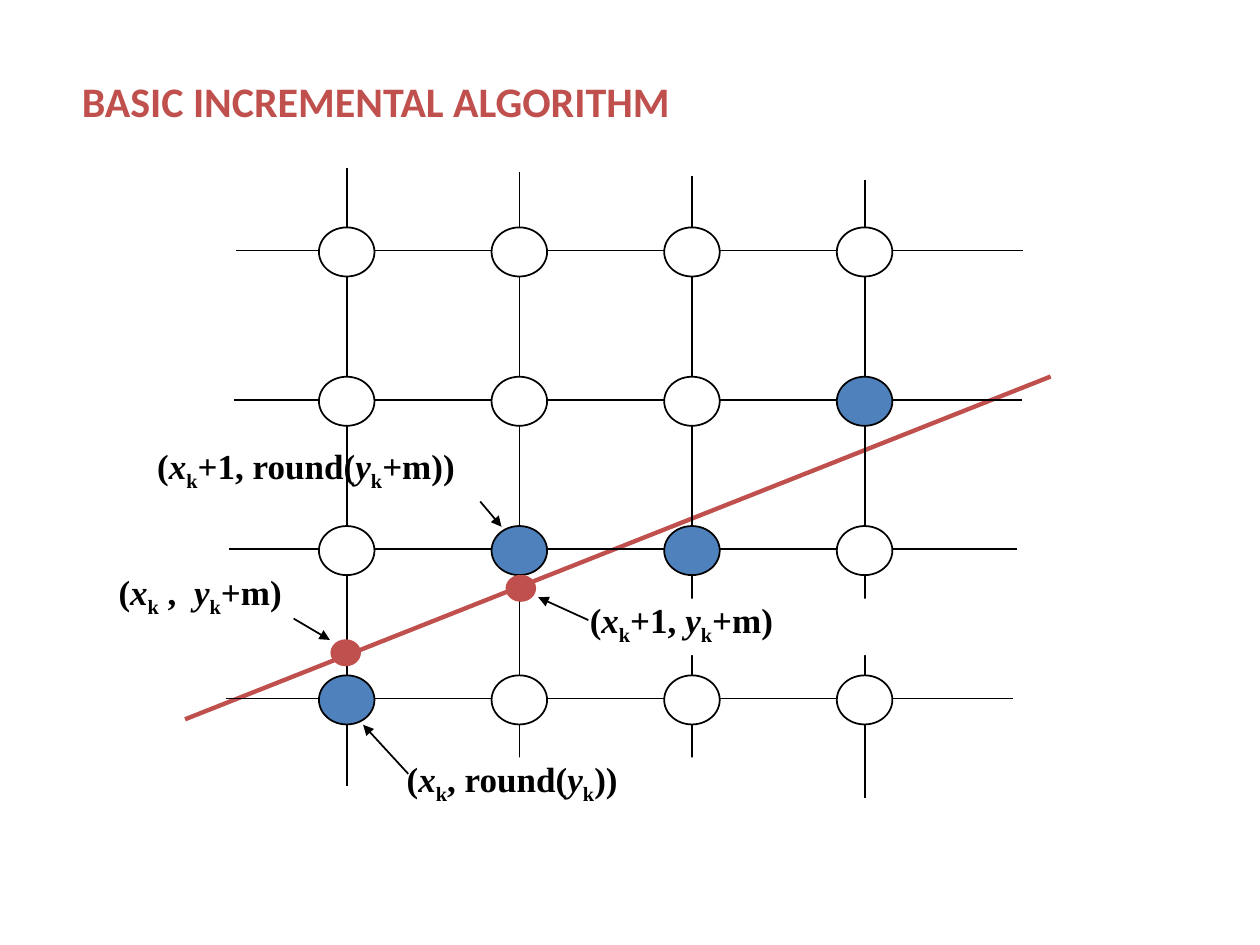
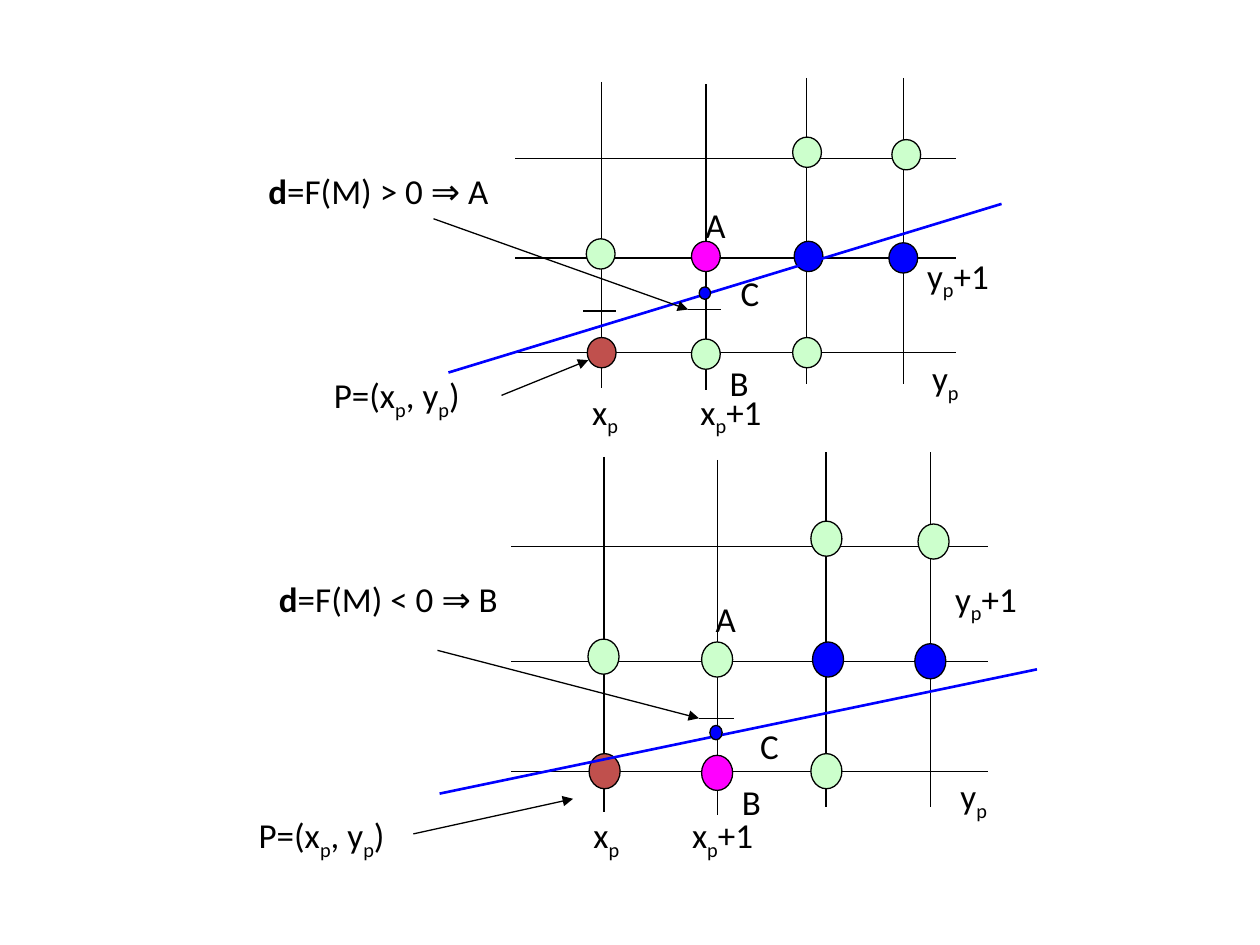
from dataclasses import dataclass

from pptx import Presentation
from pptx.dml.color import RGBColor as Rgb
from pptx.enum.shapes import MSO_CONNECTOR as Link, MSO_SHAPE as Kind
from pptx.oxml.ns import qn
from pptx.util import Cm, Pt
from lxml.etree import SubElement as Sub

HUES = {
    "black": "000000", "white": "FFFFFF", "red": "C0504D", "steel": "4F81BD",
    "mint": "CCFFCC", "pink": "FF00FF", "blue": "0000FF",
}
SANS, SERIF = "Calibri", "Times New Roman"


def hue(name):
    return Rgb.from_string(HUES[name])


@dataclass
class Box:
    """A region of a slide: lengths inside it are in cm, times its scale."""
    slide: object
    left: float
    top: float
    wide: float = 1
    high: float = 1

    def at(self, x, y):
        return Cm(self.left + x * self.wide), Cm(self.top + y * self.high)

    def line(self, start, end, color="black", width=1.0, arrow=False):
        link = self.slide.shapes.add_connector(
            Link.STRAIGHT, *self.at(*start), *self.at(*end))
        link.line.color.rgb = hue(color)
        link.line.width = Pt(width)
        if arrow:
            Sub(link.line._get_or_add_ln(), qn("a:tailEnd"), type="triangle")
        Sub(link._element.spPr, qn("a:effectLst"))

    def dot(self, mid, size, fill, edge="black", width=1.0):
        """Draw an ellipse around its centre."""
        w, h = size
        dot = self.slide.shapes.add_shape(
            Kind.OVAL, *self.at(mid[0] - w / 2, mid[1] - h / 2),
            Cm(w * self.wide), Cm(h * self.high))
        dot.shadow.inherit = False
        dot.fill.solid()
        dot.fill.fore_color.rgb = hue(fill)
        dot.line.color.rgb = hue(edge)
        dot.line.width = Pt(width)

    def text(self, spot, size, marks, font=SANS, points=20, color="black",
             bold=False, plate=False):
        """Write marks; a plate is white and has no margins.

        Runs are parted by |, and begin with _ if lowered, / if italic
        and * if bold.
        """
        note = self.slide.shapes.add_textbox(
            *self.at(*spot), Cm(size[0]), Cm(size[1]))
        frame = note.text_frame
        frame.word_wrap = True
        if plate:
            note.fill.solid()
            note.fill.fore_color.rgb = hue("white")
            frame.margin_left = frame.margin_right = 0
            frame.margin_top = frame.margin_bottom = 0
        for mark in marks.split("|"):
            run = frame.paragraphs[0].add_run()
            run.text = mark.lstrip("_/*")
            face = run.font
            face.name, face.size = font, Pt(points)
            face.color.rgb = hue(color)
            face.bold = bold or mark.startswith("*")
            face.italic = mark.startswith("/")
            if mark.startswith("_"):
                run._r.get_or_add_rPr().set("baseline", "-25000")


def title(slide, words):
    Box(slide, 1.4, 1.4).text((0, 0), (12.47, 1.27), words,
                              points=24, color="red", bold=True)


def raster(box):
    """The pixel grid with the ideal line and the pixels chosen for it."""
    cols = [2.49 + 3.48 * i for i in range(4)]
    rows = [1.65 + 3.01 * j for j in range(4)]
    lit = {(0, 3), (1, 2), (2, 2), (3, 1)}

    def plate(spot, size, marks):
        box.text(spot, size, marks, SERIF, bold=True, plate=True)

    box.line((-0.77, 11.1), (16.68, 4.19), "red", 2.5)
    plate((-1.33, 5.57), (9.5, 1.3), "(|/x|_k|+1, round(|/y|_k|+m))")
    for i, x in enumerate(cols):
        top = 0.08 * i - 0.02
        box.line((x, top), (x, top + 12.47))
    for y, left in zip(rows, (0.25, 0.22, 0.12, 0.05)):
        box.line((left, y), (left + 15.88, y))
    for j, y in enumerate(rows):
        for i, x in enumerate(cols):
            fill = "steel" if (i, j) in lit else "white"
            box.dot((x, y + 0.03), (1.12, 0.99), fill)
    for mid in ((2.47, 9.76), (6, 8.46)):
        box.dot(mid, (0.58, 0.51), "red", "red")

    plate((7.39, 8.67), (5.87, 1.14), "(|/x|_k|+1, |/y|_k|+m)")
    plate((3.7, 11.87), (6.78, 1.55), "(|/x|_k|, round(|/y|_k|))")
    plate((-2.11, 8.11), (3.58, 0.86), "(|/x|_k| ,  |/y|_k|+m)")
    for start, end in (
        ((1.42, 9.07), (2.15, 9.5)),
        ((7.36, 9.1), (6.35, 8.64)),
        ((3.73, 12.2), (2.82, 11.21)),
        ((5.18, 6.71), (5.61, 7.22)),
    ):
        box.line(start, end, arrow=True)


COLS = (1.73, 3.84, 5.87, 7.82)
ROWS = (1.63, 3.63, 5.54)
# column, row, shift right, shift down, fill
DOTS = (
    (0, 2, 0.01, 0, "red"), (0, 1, -0.01, -0.08, "mint"),
    (1, 2, 0, 0.03, "mint"), (1, 1, 0, -0.03, "mint"),
    (2, 0, 0.01, -0.13, "mint"), (2, 1, 0.04, -0.03, "blue"),
    (3, 0, 0.06, -0.08, "mint"), (3, 1, 0, 0, "blue"),
    (2, 2, 0.01, 0, "mint"),
)
# label: its width and runs
NOTES = {
    "A": (1.7, "A"), "B": (1.05, "B"), "C": (1.05, "C"),
    "P": (3.6, "P=(x|_p|, y|_p|)"),
    "x": (1.2, "x|_p"), "x1": (1.9, "x|_p|+1"),
    "y": (1.2, "y|_p"), "y1": (1.9, "y|_p|+1"),
}
SPOTS = {"A": (3.58, 2.41), "B": (4.07, 5.6), "x": (1.3, 6.17),
         "y": (8.15, 5.49)}

ABOVE = {
    "pick": (1, 1), "test": "*d|=F(M) > 0 ⇒ A", "spot": (-5.23, 1.73),
    "slope": ((9.8, 2.54), (-1.35, 5.94)), "cross": (3.82, 4.34),
    "aim": ((-1.65, 2.84), (3.48, 4.67)),
    "point": ((-0.28, 6.4), (1.47, 5.69)),
    "ticks": ((3.48, 4.67), (1.37, 4.7)),
    "spots": {"P": (-3.91, 5.84), "C": (4.29, 3.78), "x1": (3.48, 6.17),
              "y1": (8.05, 3.43)},
}
BELOW = {
    "pick": (1, 2), "test": "*d|=F(M) < 0 ⇒ B", "spot": (-4.57, 2.06),
    "slope": ((9.81, 3.77), (-1.34, 5.93)), "cross": (3.82, 4.87),
    "aim": ((-1.38, 3.44), (3.5, 4.62)),
    "point": ((-1.83, 6.63), (1.15, 6.02)),
    "ticks": ((3.5, 4.62),),
    "spots": {"P": (-4.95, 6.17), "C": (4.41, 4.62), "x1": (3.14, 6.17),
              "y1": (8.05, 2.06)},
}


def midpoint(box, case):
    """One outcome of the midpoint test."""
    thin = 0.75
    for y in ROWS:
        box.line((0, y), (8.89, y), width=thin)
    for x, top in zip(COLS, (0.08, 0.13, 0, 0)):
        box.line((x, top), (x, top + 6.17), width=thin)
    for i, j, right, down, fill in DOTS:
        fill = "pink" if (i, j) == case["pick"] else fill
        box.dot((COLS[i] + right, ROWS[j] + down), (0.58, 0.61), fill,
                width=thin)
    box.line(*case["slope"], "blue", 1.5)
    box.dot(case["cross"], (0.23, 0.25), "blue", width=thin)
    for key in ("aim", "point"):
        box.line(*case[key], width=thin, arrow=True)
    for x, y in case["ticks"]:
        box.line((x, y), (x + 0.66, y), width=thin)
    box.text(case["spot"], (7.3, 1.12), case["test"])
    for key, spot in (SPOTS | case["spots"]).items():
        width, marks = NOTES[key]
        box.text(spot, (width, 1.12), marks)


def main():
    deck = Presentation()
    deck.slide_width, deck.slide_height = Cm(25.4), Cm(19.05)
    blank = deck.slide_layouts[6]

    first = deck.slides.add_slide(blank)
    raster(Box(first, 4.5, 3.4))
    title(first, "BASIC INCREMENTAL ALGORITHM")

    second = deck.slides.add_slide(blank)
    midpoint(Box(second, 10.31, 9.12, 1.08, 1.16), BELOW)
    midpoint(Box(second, 10.39, 1.57), ABOVE)
    deck.save("out.pptx")


if __name__ == "__main__":
    main()
